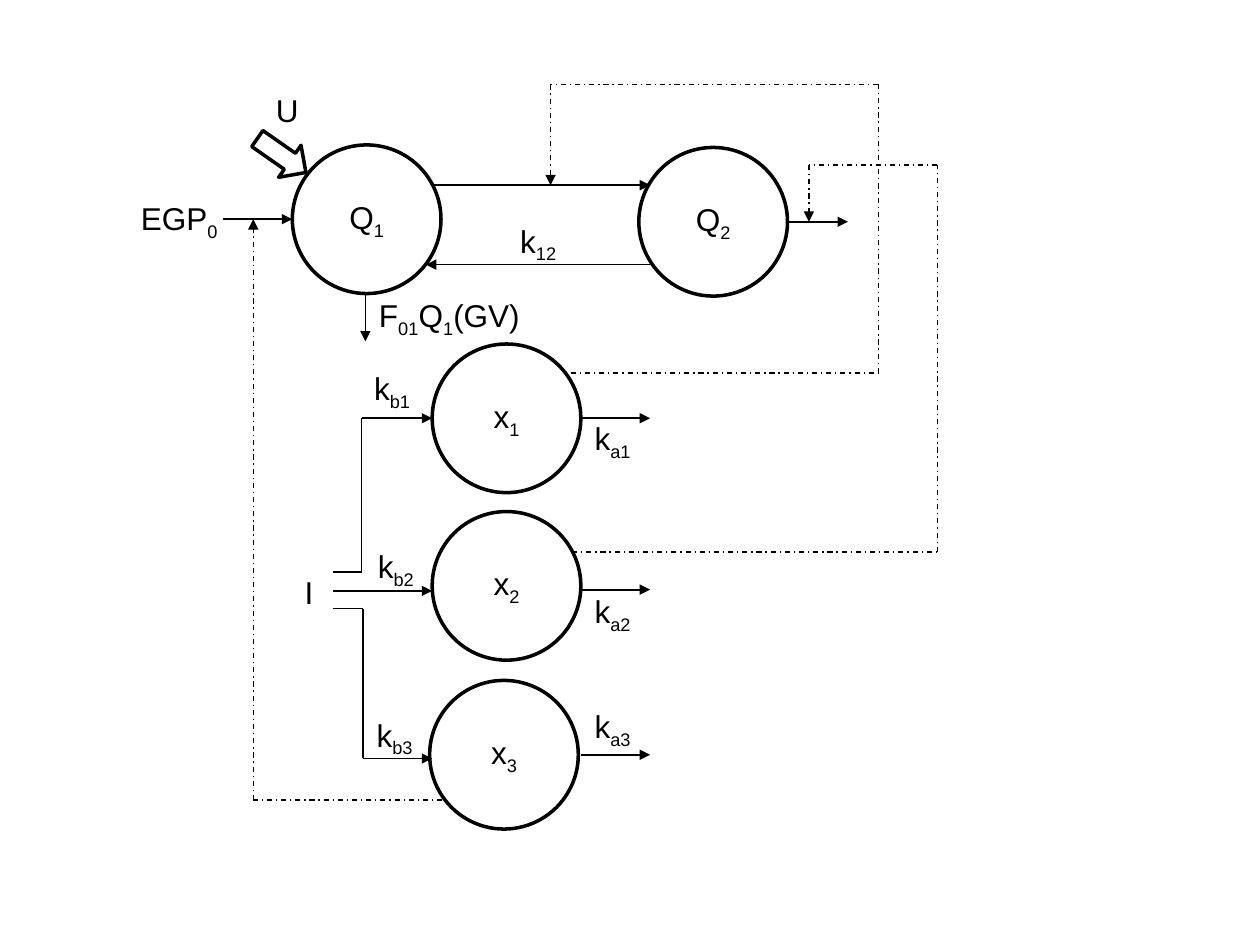
import itertools

import pptx
import pptx.dml.color
import pptx.enum.dml
import pptx.enum.shapes
import pptx.enum.text
import pptx.oxml.ns
import pptx.oxml.xmlchemy
import pptx.util

Inches, Pt = pptx.util.Inches, pptx.util.Pt
SHAPE = pptx.enum.shapes.MSO_SHAPE
RGB = pptx.dml.color.RGBColor
ALIGN = pptx.enum.text.PP_ALIGN

THEME = {
    "ink": RGB(0, 0, 0), "paper": RGB(255, 255, 255),
    "font": "Arial", "size": Pt(18), "subscript": "-25000",
    "outline": Pt(2), "flow": Pt(1), "effect": Pt(0.75),
}

# Wording alternates between normal text and subscript.
DIAMETER = 1.18
COMPARTMENTS = [  # wording, left, top
    (("Q", "1"), 2.32, 1.15),
    (("Q", "2"), 5.07, 1.17),
    (("x", "1"), 3.43, 2.73),
    (("x", "2"), 3.43, 4.06),
    (("x", "3"), 3.41, 5.4),
]
LABEL_HEIGHT = 0.4
LABELS = [  # wording, left, top, width
    (("U",), 2.09, 0.67, 0.38),
    (("EGP", "0"), 1.02, 1.53, 0.83),
    (("k", "12"), 4.03, 1.71, 0.51),
    (("F", "01", "Q", "1", "(GV)"), 2.91, 2.3, 1.36),
    (("I",), 2.32, 4.5, 0.27),
    (("k", "b1"), 2.87, 2.88, 0.51),
    (("k", "b2"), 2.9, 4.29, 0.51),
    (("k", "b3"), 2.89, 5.63, 0.51),
    (("k", "a1"), 4.62, 3.28, 0.51),
    (("k", "a2"), 4.62, 4.65, 0.51),
    (("k", "a3"), 4.62, 5.56, 0.51),
]
# Each route is a chain of corners; its last point carries the arrowhead.
FLOWS = [
    [(3.43, 1.47), (5.16, 1.47)],
    [(5.16, 2.1), (3.38, 2.1)],
    [(1.77, 1.74), (2.32, 1.74)],
    [(2.9, 2.34), (2.9, 2.71)],
    [(6.25, 1.76), (6.73, 1.76)],
    [(4.61, 3.32), (5.16, 3.32)],
    [(4.61, 4.68), (5.16, 4.68)],
    [(4.61, 5.99), (5.16, 5.99)],
    [(2.64, 4.54), (2.87, 4.54), (2.87, 3.32), (3.43, 3.32)],
    [(2.64, 4.69), (3.43, 4.69)],
    [(2.64, 4.83), (2.88, 4.83), (2.88, 6.02), (3.43, 6.02)],
]
EFFECTS = [
    [(4.53, 2.96), (6.97, 2.96), (6.97, 0.67), (4.37, 0.67), (4.37, 1.47)],
    [(4.54, 4.38), (7.44, 4.38), (7.44, 1.31), (6.42, 1.31), (6.42, 1.76)],
    [(3.51, 6.35), (2.01, 6.35), (2.01, 1.74)],
]
INPUT_ARROW, INPUT_ANGLE = (2, 1.08, 0.47, 0.31), 34.9


def write(frame, wording, align):
    """Fill a text frame, setting every second piece as subscript."""
    frame.word_wrap = False
    paragraph = frame.paragraphs[0]
    paragraph.alignment = align
    for index, piece in enumerate(wording):
        run = paragraph.add_run()
        run.text = piece
        for key, value in {"name": THEME["font"], "size": THEME["size"]}.items():
            setattr(run.font, key, value)
        run.font.color.rgb = THEME["ink"]
        if index % 2:
            run.font._element.set("baseline", THEME["subscript"])


def add_outlined(slide, kind, box):
    """Add a white preset shape with a heavy black outline."""
    shape = slide.shapes.add_shape(kind, *map(Inches, box))
    shape.shadow.inherit = False
    shape.fill.solid()
    shape.fill.fore_color.rgb = THEME["paper"]
    shape.line.color.rgb = THEME["ink"]
    shape.line.width = THEME["outline"]
    return shape


def add_route(slide, corners, width, dash=None):
    """Draw straight lines through the corners, with an arrowhead at the end."""
    for start, end in itertools.pairwise(corners):
        segment = slide.shapes.add_connector(
            pptx.enum.shapes.MSO_CONNECTOR.STRAIGHT, *map(Inches, start + end))
        segment.line.color.rgb = THEME["ink"]
        segment.line.width = width
        if dash:
            segment.line.dash_style = dash
        properties = segment._element.spPr
        properties.append(pptx.oxml.xmlchemy.OxmlElement("a:effectLst"))
    arrowhead = pptx.oxml.xmlchemy.OxmlElement("a:tailEnd")
    arrowhead.set("type", "triangle")
    properties.find(pptx.oxml.ns.qn("a:ln")).append(arrowhead)


def build():
    """Build the compartment diagram and save it."""
    deck = pptx.Presentation()
    deck.slide_width, deck.slide_height = Inches(10), Inches(7.5)
    slide = deck.slides.add_slide(deck.slide_layouts[6])

    for wording, left, top in COMPARTMENTS:
        circle = add_outlined(slide, SHAPE.OVAL, (left, top, DIAMETER, DIAMETER))
        circle.text_frame.vertical_anchor = pptx.enum.text.MSO_ANCHOR.MIDDLE
        write(circle.text_frame, wording, ALIGN.CENTER)

    add_outlined(slide, SHAPE.RIGHT_ARROW, INPUT_ARROW).rotation = INPUT_ANGLE

    for corners in FLOWS:
        add_route(slide, corners, THEME["flow"])
    for corners in EFFECTS:
        add_route(slide, corners, THEME["effect"],
                  pptx.enum.dml.MSO_LINE.DASH_DOT)

    for wording, left, top, width in LABELS:
        label = slide.shapes.add_textbox(
            *map(Inches, (left, top, width, LABEL_HEIGHT)))
        label.text_frame.auto_size = pptx.enum.text.MSO_AUTO_SIZE.SHAPE_TO_FIT_TEXT
        write(label.text_frame, wording, ALIGN.LEFT)

    deck.save("out.pptx")


build()
